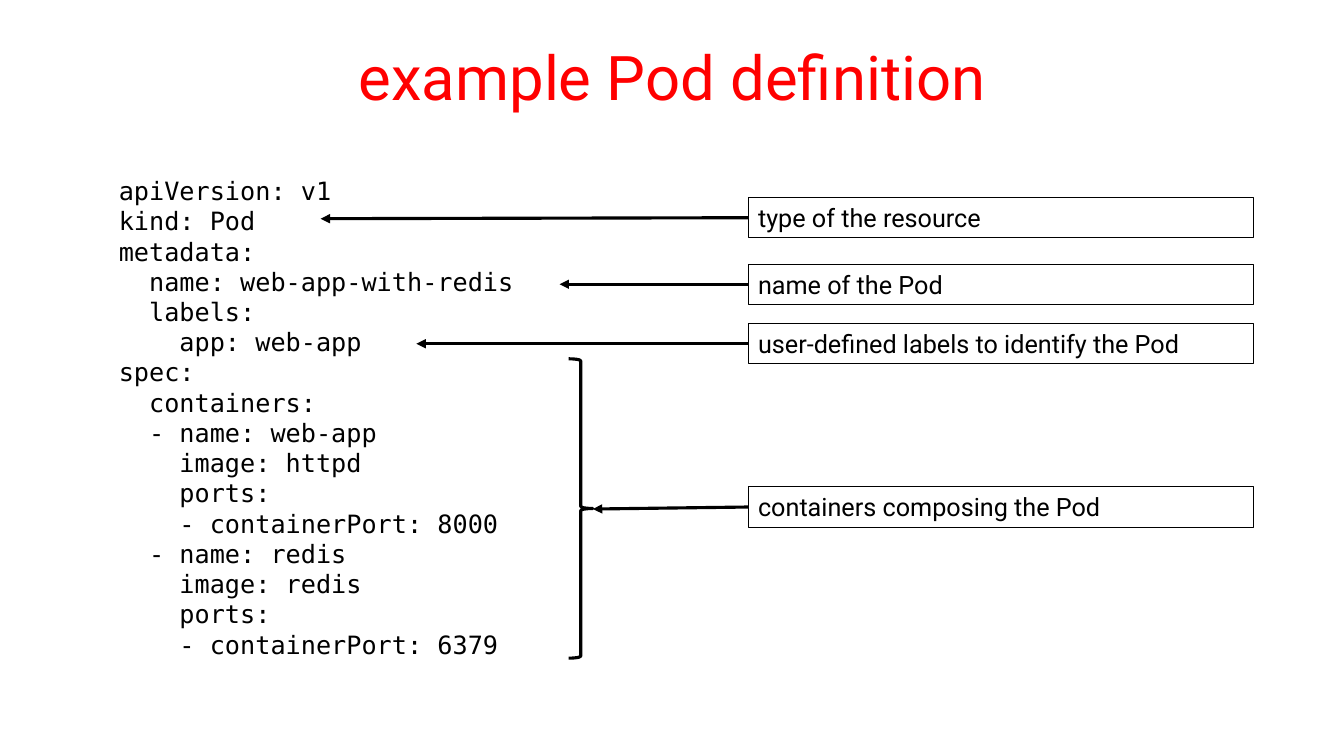
from lxml import etree
from pptx import Presentation
from pptx.dml.color import RGBColor
from pptx.enum.shapes import MSO_CONNECTOR, MSO_SHAPE
from pptx.enum.text import MSO_ANCHOR, PP_ALIGN
from pptx.oxml.ns import qn
from pptx.util import Inches, Pt

STRAIGHT = MSO_CONNECTOR.STRAIGHT
RECTANGLE, RIGHT_BRACE = MSO_SHAPE.RECTANGLE, MSO_SHAPE.RIGHT_BRACE
TOP, MIDDLE = MSO_ANCHOR.TOP, MSO_ANCHOR.MIDDLE
LEFT, CENTER = PP_ALIGN.LEFT, PP_ALIGN.CENTER

RED = RGBColor(0xFF, 0x00, 0x00)
BLACK = RGBColor(0x00, 0x00, 0x00)
WHITE = RGBColor(0xFF, 0xFF, 0xFF)
SANS, MONO = "Roboto", "DejaVu Sans Mono"

POD_DEFINITION = """\
apiVersion: v1
kind: Pod
metadata:
  name: web-app-with-redis
  labels:
    app: web-app
spec:
  containers:
  - name: web-app
    image: httpd
    ports:
    - containerPort: 8000
  - name: redis
    image: redis
    ports:
    - containerPort: 6379"""

NOTE_LEFT, NOTE_WIDTH, NOTE_HEIGHT = 7.42, 5.01, 0.4
# Note text, top of its box, and the point its arrow reaches
NOTES = [
    ("type of the resource", 1.96, (3.18, 2.17)),
    ("name of the Pod", 2.62, (5.55, 2.82)),
    ("user-defined labels to identify the Pod", 3.21, (4.13, 3.41)),
    ("containers composing the Pod", 4.83, (5.88, 5.05)),
]


def write_text(shape, text, size=18, font=SANS, color=BLACK, align=LEFT,
               anchor=TOP, spacing=None):
    frame = shape.text_frame
    frame.word_wrap = True
    frame.vertical_anchor = anchor
    for index, line in enumerate(text.split("\n")):
        para = frame.add_paragraph() if index else frame.paragraphs[0]
        para.alignment = align
        para.line_spacing = spacing
        span = para.add_run()
        span.text = line
        span.font.size = Pt(size)
        span.font.name = font
        span.font.color.rgb = color


def add_text(page, left, top, width, height, text, **text_format):
    box = page.shapes.add_textbox(
        Inches(left), Inches(top), Inches(width), Inches(height))
    write_text(box, text, **text_format)


def add_outlined(page, kind, left, top, width, height, weight):
    shape = page.shapes.add_shape(
        kind, Inches(left), Inches(top), Inches(width), Inches(height))
    shape.shadow.inherit = False
    shape.fill.background()
    shape.line.color.rgb = BLACK
    shape.line.width = Pt(weight)
    return shape


def add_arrow(page, start, end):
    arrow = page.shapes.add_connector(
        STRAIGHT, *(Inches(value) for value in (*start, *end)))
    arrow.line.color.rgb = BLACK
    arrow.line.width = Pt(2.25)
    etree.SubElement(arrow.line._get_or_add_ln(), qn("a:tailEnd"), type="triangle")
    etree.SubElement(arrow._element.spPr, qn("a:effectLst"))


def add_note(page, text, top, target):
    box = add_outlined(
        page, RECTANGLE, NOTE_LEFT, top, NOTE_WIDTH, NOTE_HEIGHT, 0.75)
    box.fill.solid()
    box.fill.fore_color.rgb = WHITE
    write_text(box, text)
    add_arrow(page, (NOTE_LEFT, top + NOTE_HEIGHT / 2), target)


def main():
    deck = Presentation()
    deck.slide_width, deck.slide_height = Inches(13.33), Inches(7.5)
    page = deck.slides.add_slide(deck.slide_layouts[6])

    # Title and code
    add_text(page, 0.67, 0.13, 12, 1.25, "example Pod definition",
             size=44, color=RED, align=CENTER, anchor=MIDDLE)
    add_text(page, 1.08, 1.69, 6.67, 4.95, POD_DEFINITION,
             font=MONO, spacing=Pt(21.6))

    # Brace around the containers, and the notes
    add_outlined(page, RIGHT_BRACE, 5.64, 3.56, 0.24, 2.97, 2.25)
    for text, top, target in NOTES:
        add_note(page, text, top, target)

    deck.save("out.pptx")


if __name__ == "__main__":
    main()
